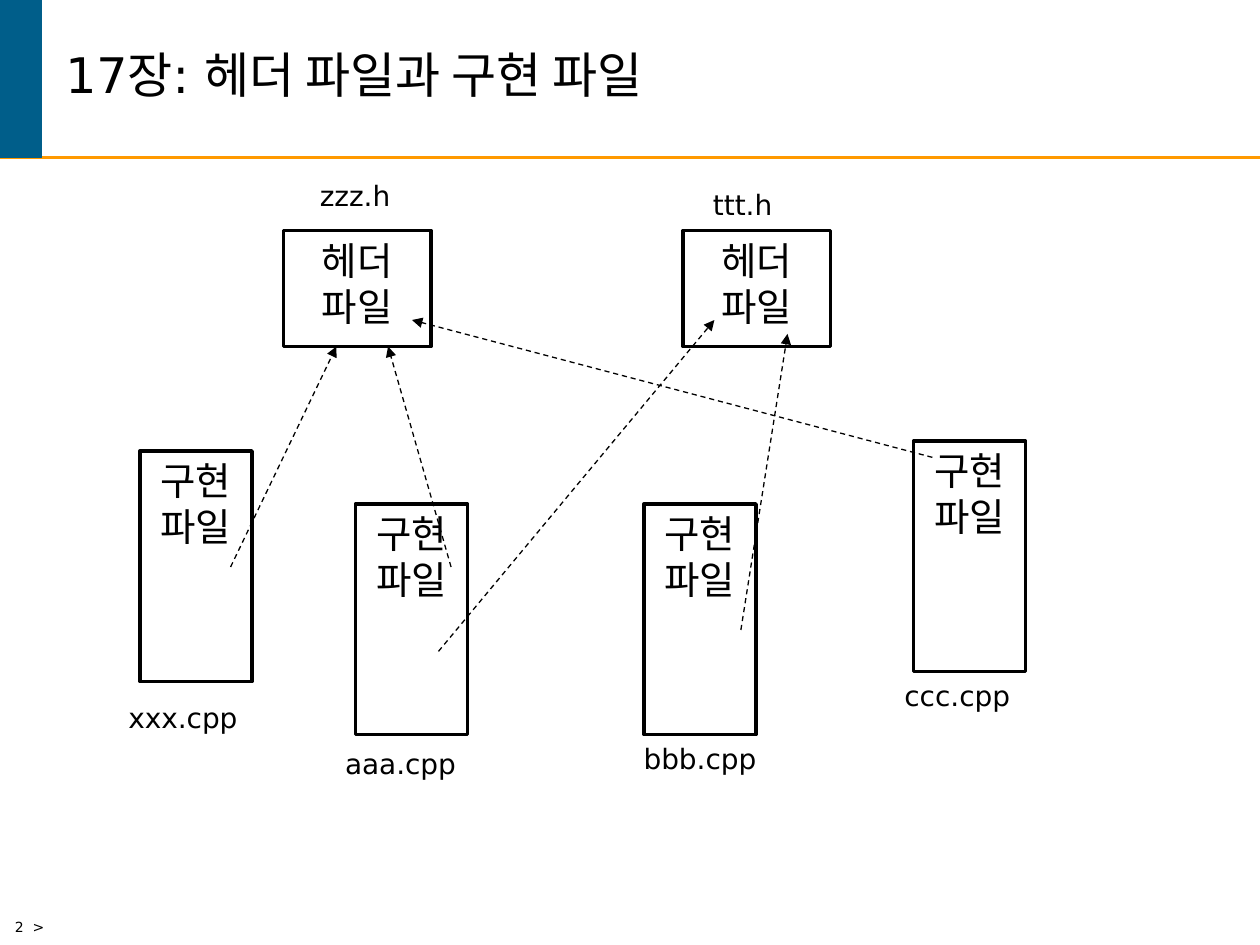
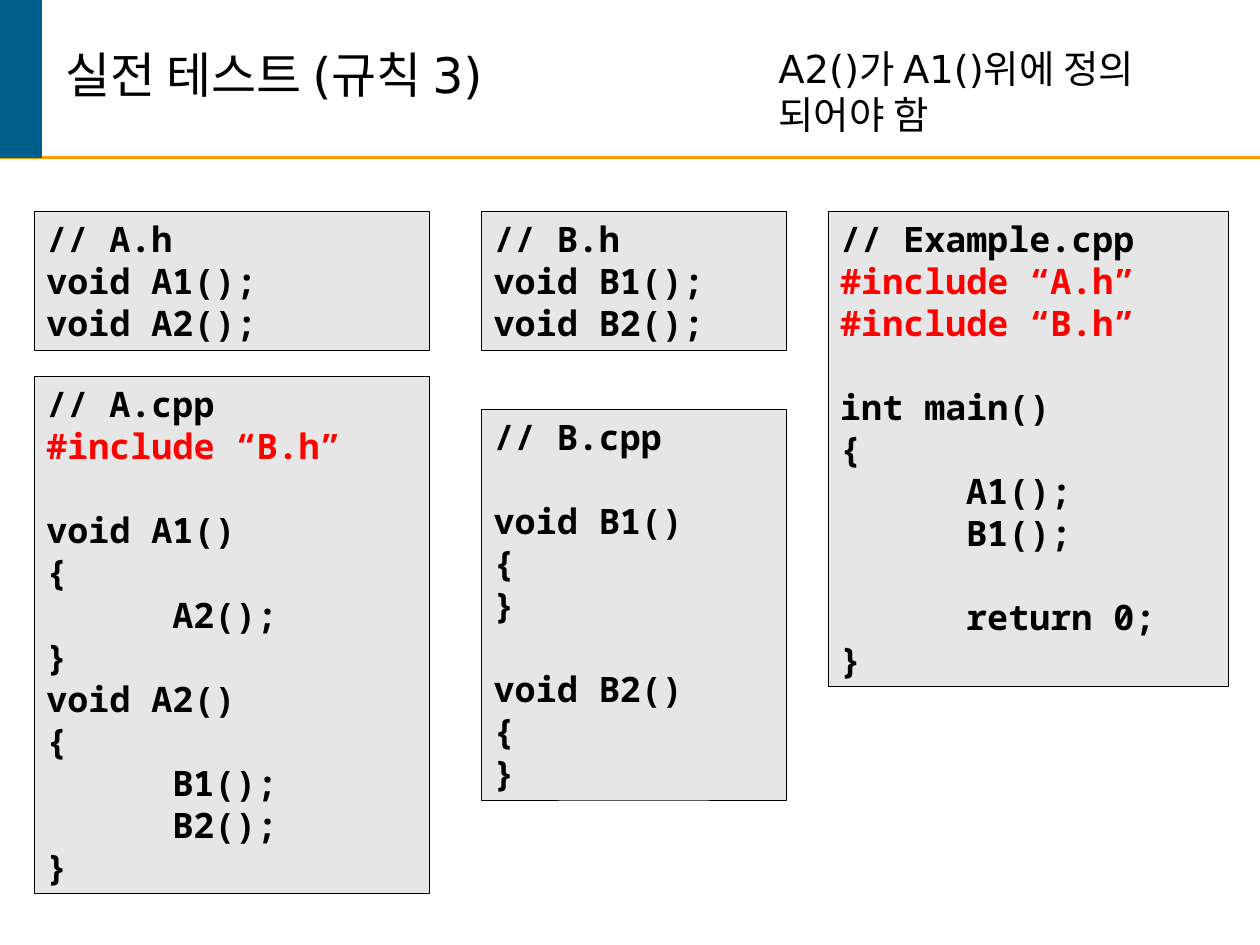
from lxml import etree
from pptx import Presentation
from pptx.dml.color import RGBColor
from pptx.enum.dml import MSO_LINE
from pptx.enum.shapes import MSO_CONNECTOR, MSO_SHAPE
from pptx.enum.text import MSO_ANCHOR, PP_ALIGN
from pptx.oxml.ns import qn
from pptx.util import Inches, Pt

COLORS = {
    "text": "000000",
    "include": "FF0000",
    "band": "005E8A",
    "rule": "FF9900",
    "paper": "FFFFFF",
    "code": "E6E6E6",
}
BODY_FONT = "DejaVu Sans"
CODE_FONT = "Noto Sans Mono"

A_HEADER = """// A.h
void A1();
void A2();"""

B_HEADER = """// B.h
void B1();
void B2();"""

A_SOURCE = """// A.cpp
#include “B.h”

void A1()
{
\tA2();
}
void A2()
{
\tB1();
\tB2();
}"""

B_SOURCE = """// B.cpp

void B1()
{
}

void B2()
{
}"""

EXAMPLE_SOURCE = """// Example.cpp
#include “A.h”
#include “B.h”

int main()
{
\tA1();
\tB1();

\treturn 0;
}"""


def color(name):
    """Return the named palette colour."""
    return RGBColor.from_string(COLORS[name])


def set_font(paragraph, size, name=BODY_FONT, bold=False, color_name="text"):
    """Style every run of a paragraph alike."""
    font = paragraph.font
    font.size, font.name, font.bold = Pt(size), name, bold
    font.color.rgb = color(color_name)


def add_tab_stop(paragraph, position):
    """Add a left tab stop to a paragraph."""
    properties = paragraph._p.get_or_add_pPr()
    tabs = etree.SubElement(properties, qn("a:tabLst"))
    etree.SubElement(tabs, qn("a:tab"), pos=str(position), algn="l")


def add_rectangle(slide, box, fill, line, width):
    """Add a flat rectangle at left, top, width, height."""
    shape = slide.shapes.add_shape(MSO_SHAPE.RECTANGLE, *map(Inches, box))
    shape.shadow.inherit = False
    shape.fill.solid()
    shape.fill.fore_color.rgb = color(fill)
    shape.line.color.rgb = color(line)
    shape.line.width = Pt(width)
    return shape


def add_line(slide, start, end, line, width):
    """Add a straight line without a shadow."""
    connector = slide.shapes.add_connector(
        MSO_CONNECTOR.STRAIGHT, *map(Inches, start + end))
    connector.line.color.rgb = color(line)
    connector.line.width = Pt(width)
    etree.SubElement(connector._element.spPr, qn("a:effectLst"))
    return connector


def add_include_arrow(slide, start, end):
    """Add a dashed arrow from an implementation file to a header file."""
    connector = add_line(slide, start, end, "text", 0.75)
    connector.line.dash_style = MSO_LINE.DASH
    etree.SubElement(connector.line._get_or_add_ln(), qn("a:tailEnd"), type="triangle")


def add_text(slide, box, text, size):
    """Add a one-paragraph text box."""
    shape = slide.shapes.add_textbox(*map(Inches, box))
    shape.text_frame.word_wrap = True
    paragraph = shape.text_frame.paragraphs[0]
    paragraph.text = text
    set_font(paragraph, size)
    return shape


def add_file_box(slide, box, text):
    """Add an outlined box that stands for a file."""
    frame = add_rectangle(slide, box, "paper", "text", 2).text_frame
    frame.vertical_anchor = MSO_ANCHOR.TOP
    frame.text = text
    for paragraph in frame.paragraphs:
        paragraph.alignment = PP_ALIGN.CENTER
        set_font(paragraph, 22)


def add_code_box(slide, box, code):
    """Add a grey listing with its include lines in red."""
    frame = add_rectangle(slide, box, "code", "text", 0.25).text_frame
    frame.vertical_anchor = MSO_ANCHOR.TOP
    frame.text = code
    for paragraph in frame.paragraphs:
        paragraph.alignment = PP_ALIGN.LEFT
        add_tab_stop(paragraph, Inches(1))
        color_name = "include" if paragraph.text.startswith("#include") else "text"
        set_font(paragraph, 20, CODE_FONT, True, color_name)


def add_titled_slide(presentation, title):
    """Add a blank slide with the band, the rule and a title."""
    slide = presentation.slides.add_slide(presentation.slide_layouts[6])
    add_line(slide, (0, 1.25), (10, 1.25), "rule", 1.5)
    add_rectangle(slide, (0, 0, 0.33, 1.25), "band", "band", 1)
    frame = add_text(slide, (0.42, 0, 9.33, 1.25), title, 28).text_frame
    frame.vertical_anchor = MSO_ANCHOR.MIDDLE
    frame.paragraphs[0].line_spacing = 0.85
    return slide


def build_file_diagram(presentation):
    """Build the slide on header and implementation files."""
    slide = add_titled_slide(presentation, "17장: 헤더 파일과 구현 파일")
    add_text(slide, (0.02, 7.24, 1.4, 0.26), "2  >", 8)
    for left in (2.25, 5.42):
        add_file_box(slide, (left, 1.83, 1.17, 0.92), "헤더\n파일")
    for left, top in ((1.11, 3.58), (2.82, 4), (5.11, 4), (7.25, 3.5)):
        add_file_box(slide, (left, top, 0.89, 1.83), "구현 파일")
    for start, end in (
        ((1.83, 4.5), (2.67, 2.75)),
        ((3.58, 4.5), (3.08, 2.75)),
        ((3.48, 5.17), (5.67, 2.54)),
        ((7.4, 3.63), (3.27, 2.54)),
        ((5.88, 5), (6.25, 2.65)),
    ):
        add_include_arrow(slide, start, end)
    for name, left, top in (
        ("xxx.cpp", 0.92, 5.51),
        ("aaa.cpp", 2.64, 5.88),
        ("bbb.cpp", 5.01, 5.84),
        ("ccc.cpp", 7.08, 5.34),
        ("zzz.h", 2.44, 1.37),
        ("ttt.h", 5.56, 1.44),
    ):
        add_text(slide, (left, top, 1.24, 0.37), name, 16)


def build_code_test(presentation):
    """Build the slide that tests rule 3 with listings."""
    slide = add_titled_slide(presentation, "실전 테스트 (규칙 3)")
    for box, code in (
        ((6.57, 1.68, 3.18, 3.77), EXAMPLE_SOURCE),
        ((0.27, 2.99, 3.14, 4.1), A_SOURCE),
        ((3.82, 3.25, 2.42, 3.1), B_SOURCE),
        ((0.27, 1.68, 3.14, 1.1), A_HEADER),
        ((3.82, 1.68, 2.42, 1.1), B_HEADER),
    ):
        add_code_box(slide, box, code)
    add_text(slide, (6.08, 0.31, 3.08, 0.78), "A2()가 A1()위에 정의 되어야 함", 22)


def main():
    """Build and save the presentation."""
    presentation = Presentation()
    presentation.slide_width = Inches(10)
    presentation.slide_height = Inches(7.5)
    build_file_diagram(presentation)
    build_code_test(presentation)
    presentation.save("out.pptx")


if __name__ == "__main__":
    main()
